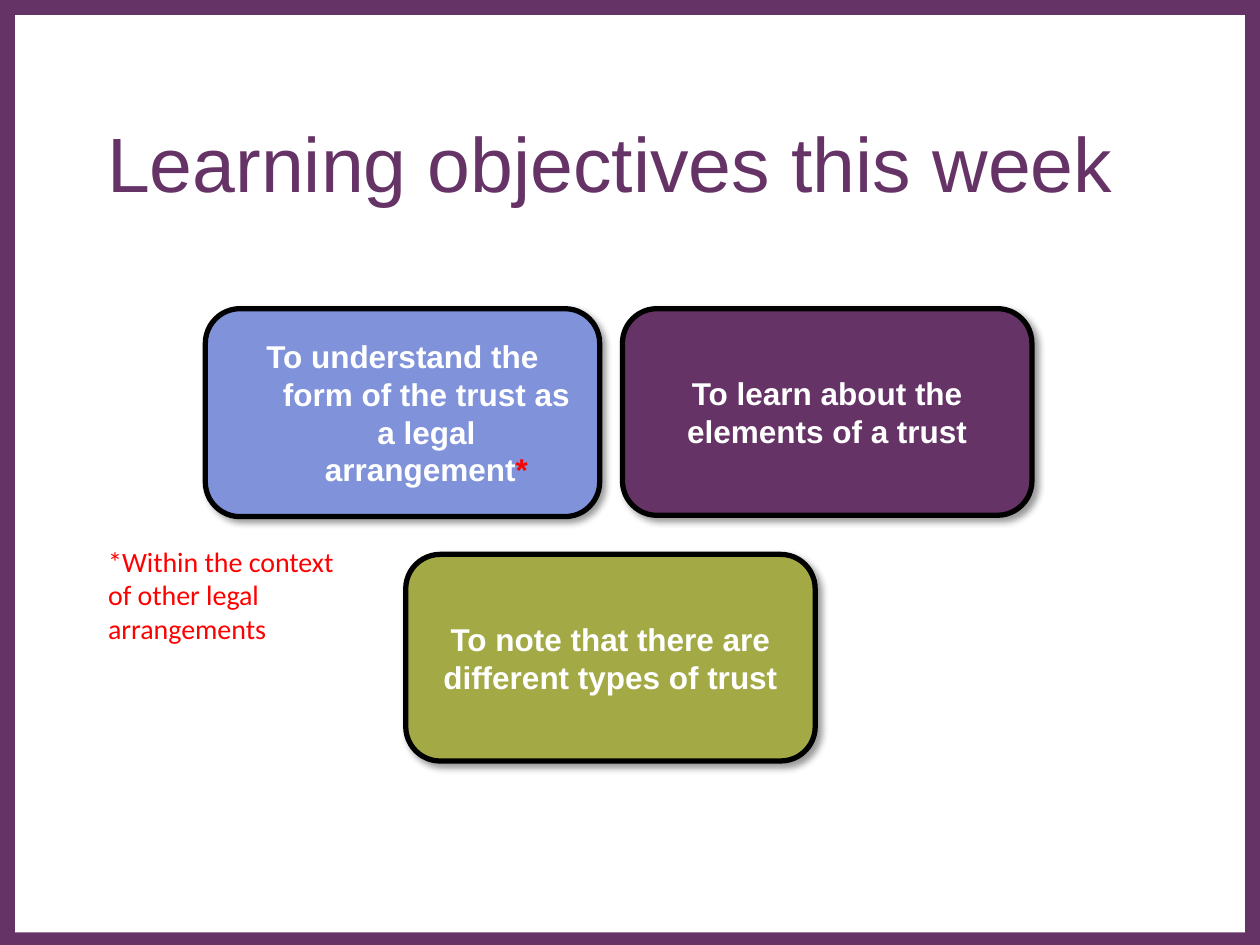
"""Build the learning objectives slide with three cards and a footnote."""
from dataclasses import dataclass

from lxml import etree
from pptx import Presentation
from pptx.dml.color import RGBColor as Rgb
from pptx.enum.shapes import MSO_SHAPE as Shape
from pptx.enum.text import MSO_ANCHOR as Anchor, PP_ALIGN as Align
from pptx.oxml import parse_xml
from pptx.oxml.ns import nsdecls
from pptx.util import Inches, Pt


@dataclass(frozen=True)
class Theme:
    purple: str = "663366"
    blue: str = "8093DA"
    olive: str = "A2A945"
    white: str = "FFFFFF"
    black: str = "000000"
    red: str = "FF0000"
    title_size: int = 44
    card_size: int = 18
    note_size: int = 16


theme = Theme()


def add_span(para, text, font, size, color, bold=False):
    span = para.add_run()
    span.text = text
    span.font.name = font
    span.font.size = Pt(size)
    span.font.bold = bold
    span.font.color.rgb = Rgb.from_string(color)


def add_panel(page, kind, bounds, fill):
    panel = page.shapes.add_shape(kind, *map(Inches, bounds))
    panel.shadow.inherit = False
    panel.fill.solid()
    panel.fill.fore_color.rgb = Rgb.from_string(fill)
    panel.line.fill.background()
    return panel


deck = Presentation()
deck.slide_width, deck.slide_height = Inches(10), Inches(7.5)
page = deck.slides.add_slide(deck.slide_layouts[5])
title = page.shapes.title

for bounds, fill in (
    ((0, 0, 10, 7.5), theme.purple),
    ((0.12, 0.12, 9.76, 7.28), theme.white),
):
    frame = add_panel(page, Shape.RECTANGLE, bounds, fill)
    title._element.addprevious(frame._element)

title.left, title.top = Inches(0.75), Inches(0.92)
title.width, title.height = Inches(8.5), Inches(1.25)
title.text_frame.vertical_anchor = Anchor.TOP
title.text_frame.margin_top = 0
para = title.text_frame.paragraphs[0]
para.alignment = Align.LEFT
add_span(para, "Learning objectives this week", "Arial", theme.title_size, theme.purple)

cards = [
    ((1.63, 2.45, 3.13, 1.65), theme.blue, 0.38, (0.1, 0.05), [
        ("To understand the form of the trust as a legal arrangement", theme.white),
        ("*", theme.red),
    ]),
    ((4.94, 2.45, 3.25, 1.64), theme.purple, 0, (0.07, 0.04), [
        ("To learn about the elements of a trust", theme.white),
    ]),
    ((3.22, 4.4, 3.25, 1.64), theme.olive, 0, (0.07, 0.04), [
        ("To note that there are different types of trust", theme.white),
    ]),
]
for bounds, fill, hanging, (side, edge), spans in cards:
    card = add_panel(page, Shape.ROUNDED_RECTANGLE, bounds, fill)
    card.line.color.rgb = Rgb.from_string(theme.black)
    card.line.width = Pt(3)
    effects = card._element.spPr.find("{*}effectLst")
    effects.append(parse_xml(
        f'<a:outerShdw {nsdecls("a")} blurRad="{Pt(4)}" dist="{Pt(3)}" dir="2700000" '
        f'algn="tl" rotWithShape="0"><a:srgbClr val="{theme.black}">'
        '<a:alpha val="40000"/></a:srgbClr></a:outerShdw>'
    ))
    body = card.text_frame
    body.word_wrap = True
    body.vertical_anchor = Anchor.MIDDLE
    body.margin_left = body.margin_right = Inches(side)
    body.margin_top = body.margin_bottom = Inches(edge)
    para = body.paragraphs[0]
    para.alignment = Align.CENTER
    if hanging:
        settings = para._p.get_or_add_pPr()
        settings.set("marL", str(Inches(hanging)))
        settings.set("indent", str(Inches(-hanging)))
    for text, color in spans:
        add_span(para, text, "Arial", theme.card_size, color, bold=True)

note = page.shapes.add_textbox(*map(Inches, (0.76, 4.27, 2.11, 0.91)))
note.text_frame.word_wrap = True
add_span(
    note.text_frame.paragraphs[0], "*Within the context of other legal arrangements",
    "Calibri", theme.note_size, theme.red,
)

deck.save("out.pptx")
